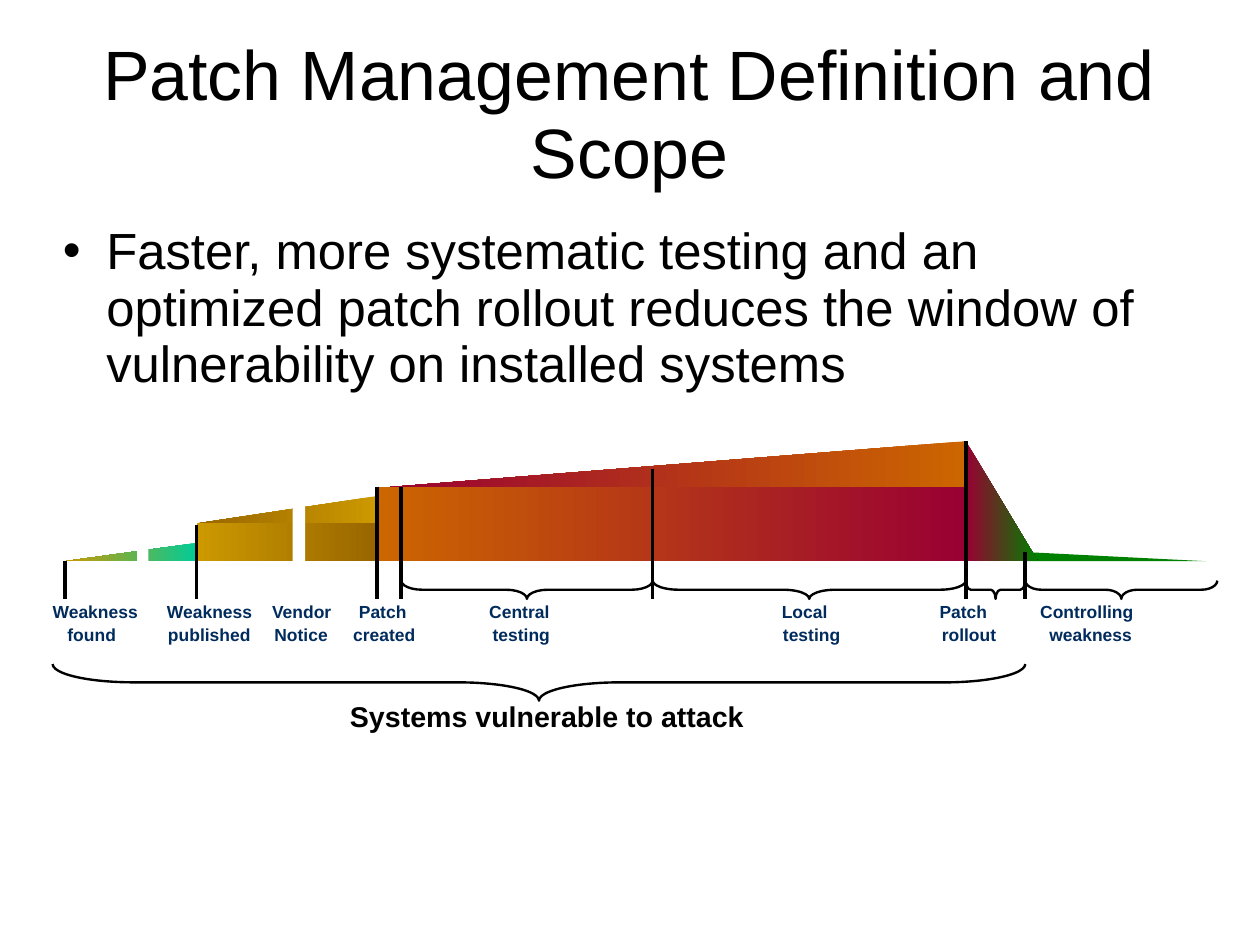
from lxml.etree import SubElement
from pptx import Presentation
from pptx.dml.color import RGBColor
from pptx.enum.shapes import MSO_CONNECTOR, MSO_SHAPE
from pptx.enum.text import MSO_ANCHOR, MSO_AUTO_SIZE, PP_ALIGN
from pptx.oxml.ns import qn
from pptx.util import Inches, Pt


class Theme:
    font = "Arial"
    black, white, navy = "000000", "FFFFFF", "002B5D"
    orange, wine, gold, brown = "CC6600", "990033", "CC9900", "996600"
    mint, green = "00CC99", "008000"
    title, body, note, label = Pt(44), Pt(32), Pt(18), Pt(11)
    tick, brace = Pt(2.25), Pt(1.5)


def add_text(frame, lines, size, color, align, space, bold=False):
    frame.auto_size = MSO_AUTO_SIZE.NONE
    frame.margin_left = frame.margin_right = 0
    frame.margin_top = frame.margin_bottom = 0
    for i, line in enumerate(lines):
        para = frame.add_paragraph() if i else frame.paragraphs[0]
        para.alignment, para.line_spacing = align, space
        run = para.add_run()
        run.text = line
        run.font.name, run.font.size, run.font.bold = Theme.font, size, bold
        run.font.color.rgb = RGBColor.from_string(color)


def add_part(kind, box, colors, flip=False):
    part = slide.shapes.add_shape(kind, *map(Inches, box))
    part.shadow.inherit = False
    part.line.fill.background()
    if len(colors) == 1:
        part.fill.solid()
        part.fill.fore_color.rgb = RGBColor.from_string(colors[0])
    else:
        part.fill.gradient()
        part.fill.gradient_angle = 0
        for stop, color in zip(part.fill.gradient_stops, colors):
            stop.color.rgb = RGBColor.from_string(color)
    if flip:
        part._element.spPr.find(qn("a:xfrm")).set("flipH", "1")


# Page of 28 by 21 cm
deck = Presentation()
deck.slide_width, deck.slide_height = Inches(28 / 2.54), Inches(21 / 2.54)
slide = deck.slides.add_slide(deck.slide_layouts[5])

# Title
title = slide.shapes.title
title.left, title.top = Inches(0.55), Inches(0.33)
title.width, title.height = Inches(9.92), Inches(1.38)
title.text_frame.vertical_anchor = MSO_ANCHOR.MIDDLE
add_text(title.text_frame, ["Patch Management Definition and Scope"],
         Theme.title, Theme.black, PP_ALIGN.CENTER, 0.93)

# Bullet text
body = slide.shapes.add_textbox(Inches(0.55), Inches(1.93), Inches(9.92), Inches(5.45)).text_frame
body.word_wrap = True
add_text(body, ["Faster, more systematic testing and an optimized patch rollout "
                "reduces the window of vulnerability on installed systems"],
         Theme.body, Theme.black, PP_ALIGN.LEFT, 0.93)
body.margin_top = Inches(0.03)
props = body.paragraphs[0]._p.get_or_add_pPr()
props.set("marL", str(Inches(0.38)))
props.set("indent", str(-Inches(0.38)))
SubElement(props, qn("a:buFont"), typeface=Theme.font)
SubElement(props, qn("a:buChar"), char="•")

# Risk curve: slopes and blocks, from back to front
slope, block = MSO_SHAPE.RIGHT_TRIANGLE, MSO_SHAPE.RECTANGLE
add_part(slope, (3.3, 3.86, 5.15, 0.41), (Theme.orange, Theme.wine), True)
add_part(block, (3.3, 4.26, 5.15, 0.65), (Theme.orange, Theme.wine))
add_part(slope, (0.57, 4.75, 1.16, 0.16), (Theme.mint, Theme.gold), True)
add_part(block, (1.2, 4.43, 0.1, 0.49), (Theme.white,))
add_part(slope, (1.72, 4.34, 1.58, 0.24), (Theme.gold, Theme.brown), True)
add_part(block, (1.72, 4.58, 1.58, 0.33), (Theme.gold, Theme.brown))
add_part(block, (2.56, 4.43, 0.11, 0.49), (Theme.white,))
add_part(slope, (8.97, 4.83, 1.58, 0.08), (Theme.green,))
add_part(slope, (8.45, 3.86, 0.63, 1.05), (Theme.wine, Theme.green))

# Event ticks
base = 5.24
for x, top in ((0.57, 4.91), (1.72, 4.59), (3.3, 4.26), (3.51, 4.26),
               (5.71, 4.1), (8.45, 3.86), (8.97, 4.83)):
    tick = slide.shapes.add_connector(MSO_CONNECTOR.STRAIGHT, Inches(x), Inches(top),
                                      Inches(x), Inches(base))
    tick.line.width = Theme.tick
    tick.line.color.rgb = RGBColor.from_string(Theme.black)
    SubElement(tick._element.spPr, qn("a:effectLst"))

# Braces: upright shapes turned a quarter to point down
for start, end, top, depth in ((3.51, 5.71, 5.08, 0.16), (5.71, 8.45, 5.08, 0.16),
                               (8.45, 8.97, 5.08, 0.16), (8.97, 10.65, 5.08, 0.16),
                               (0.46, 8.97, 5.81, 0.32)):
    span = end - start
    brace = slide.shapes.add_shape(
        MSO_SHAPE.RIGHT_BRACE, Inches((start + end - depth) / 2),
        Inches(top + (depth - span) / 2), Inches(depth), Inches(span))
    brace.rotation = 90
    brace.adjustments[0] = span / depth / 12
    brace.shadow.inherit = False
    brace.fill.background()
    brace.line.width = Theme.brace
    brace.line.color.rgb = RGBColor.from_string(Theme.black)

# Phase labels: two lines set out on tab stops
rows = (("Weakness", "Weakness", "Vendor", "Patch", "Central", "Local", "Patch", "Controlling"),
        ("", "found", "published", "Notice", "created", "testing", "testing", "rollout", "weakness"))
stops = ((1.0, 1.92, 2.68, 3.82, 6.38, 7.76, 8.64),
         (0.13, 1.01, 1.94, 2.63, 3.85, 6.39, 7.78, 8.72))
label = slide.shapes.add_textbox(Inches(0.46), Inches(base), Inches(9.88), Inches(0.66)).text_frame
label.word_wrap = True
add_text(label, ["\t".join(row) for row in rows],
         Theme.label, Theme.navy, PP_ALIGN.LEFT, 1.1, True)
for para, marks in zip(label.paragraphs, stops):
    tabs = SubElement(para._p.get_or_add_pPr(), qn("a:tabLst"))
    for mark in marks:
        SubElement(tabs, qn("a:tab"), pos=str(Inches(mark)), algn="l")

# Caption
note = slide.shapes.add_textbox(Inches(3.06), Inches(6.05), Inches(3.45), Inches(0.42))
add_text(note.text_frame, ["Systems vulnerable to attack"],
         Theme.note, Theme.black, PP_ALIGN.CENTER, Pt(26.5), True)

deck.save("out.pptx")
